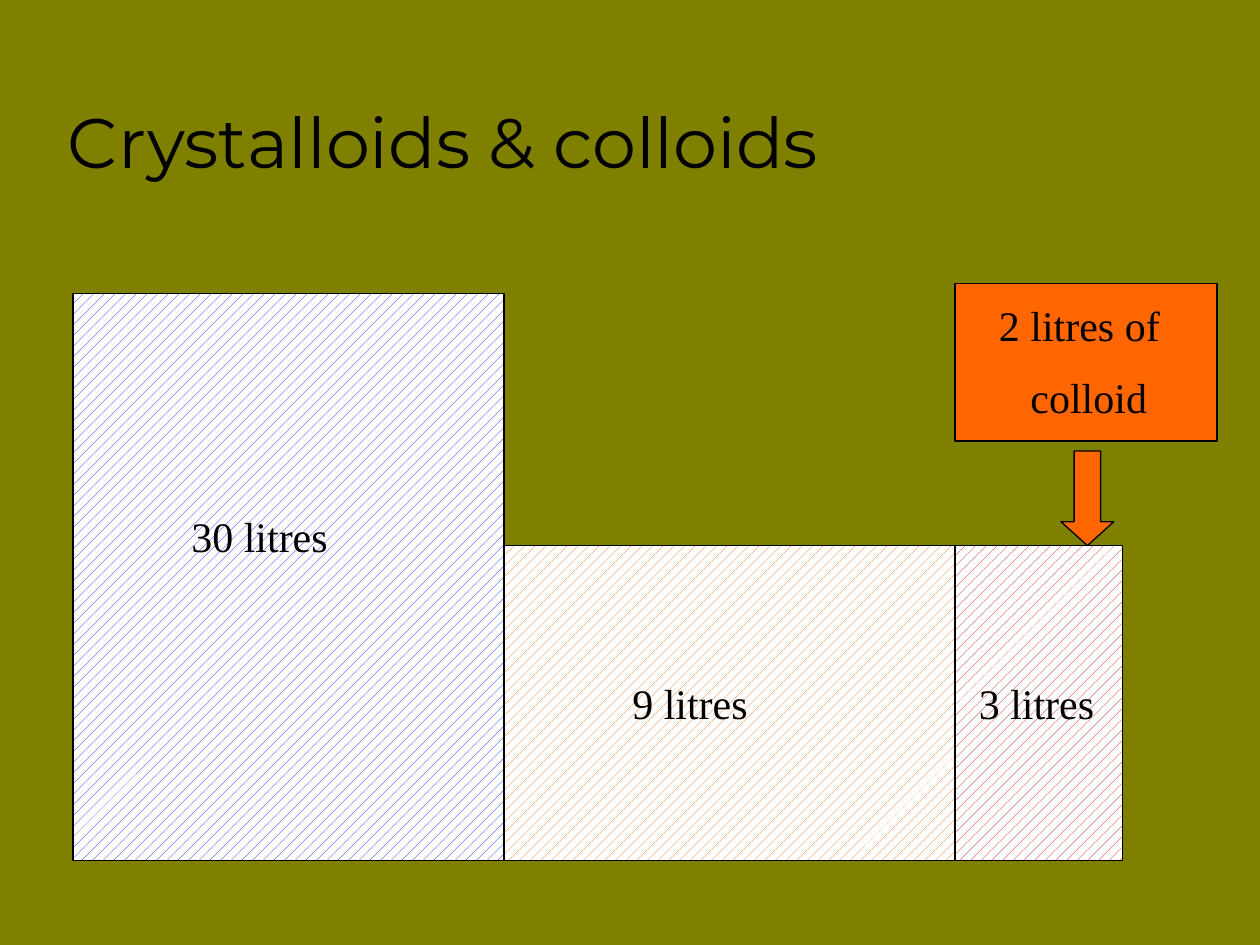
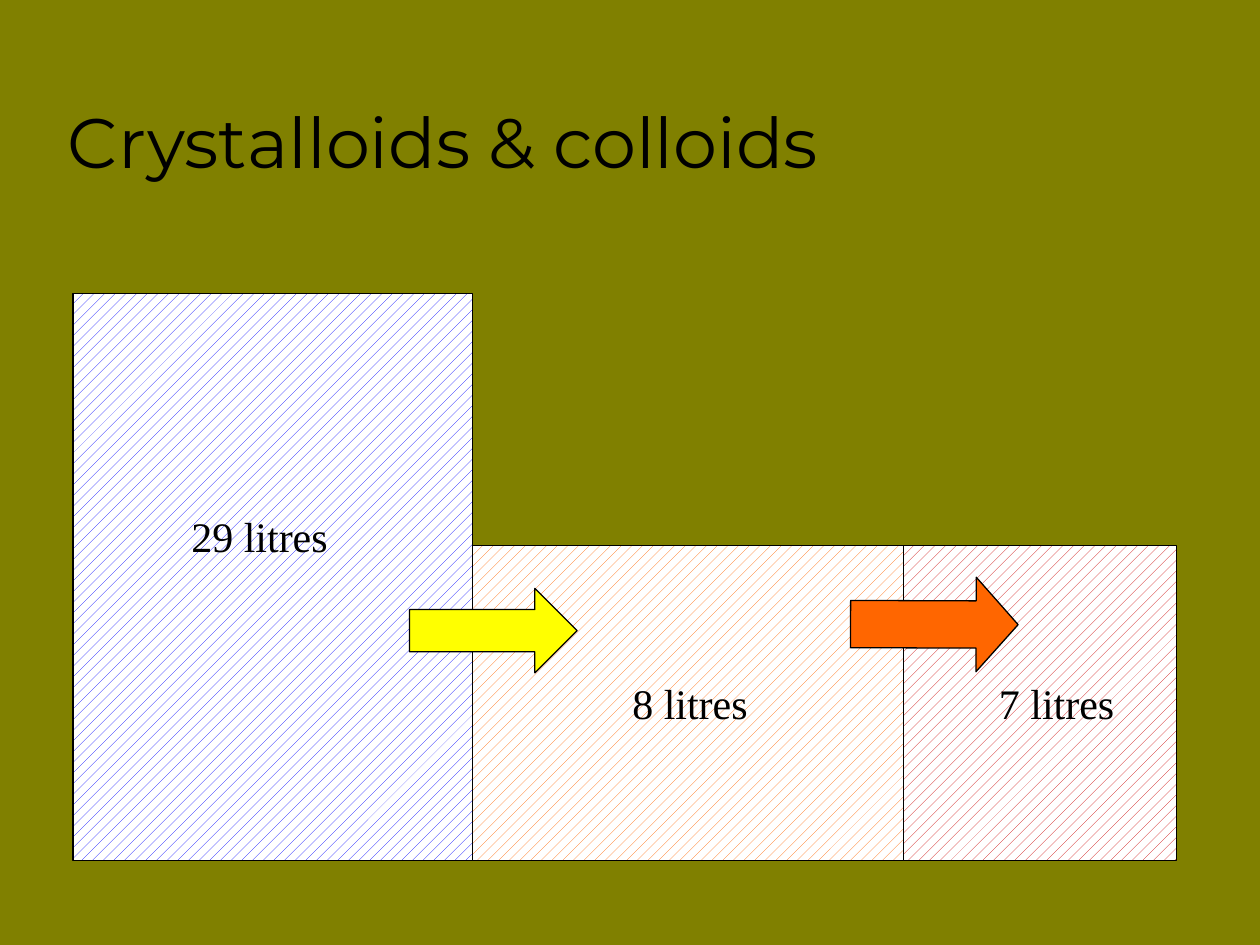
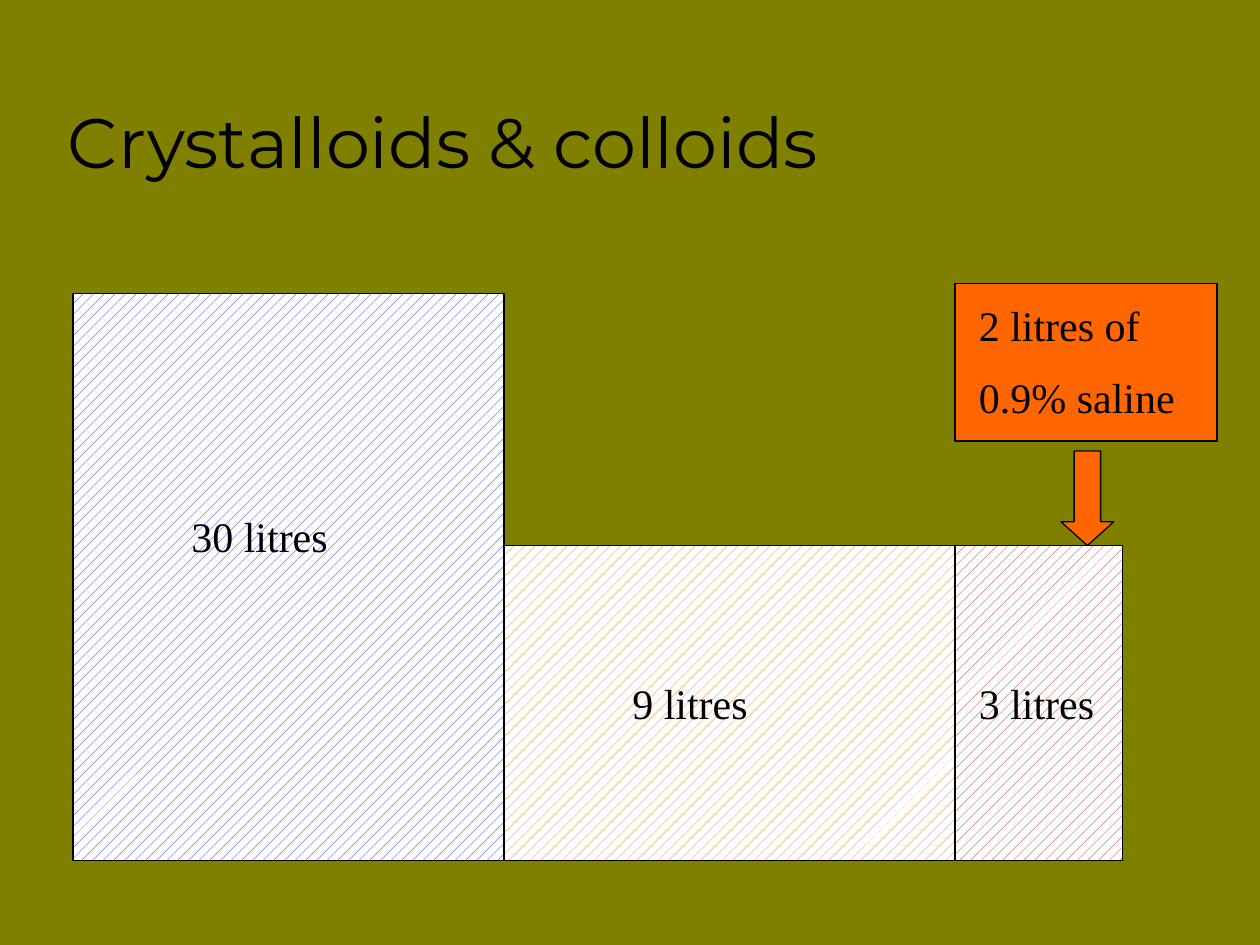
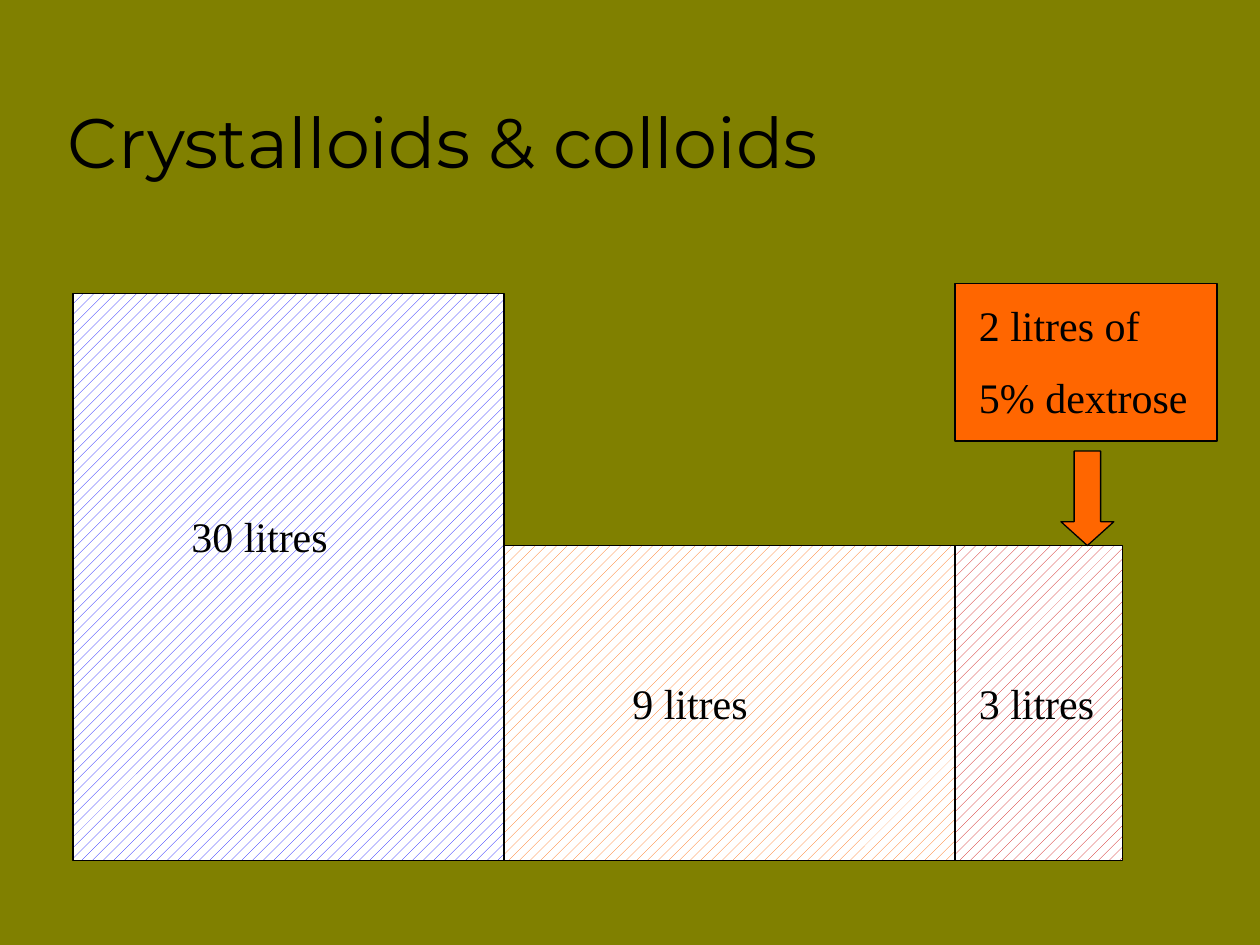
from dataclasses import dataclass
from typing import Optional

from lxml.etree import SubElement
from pptx import Presentation
from pptx.dml.color import RGBColor
from pptx.enum.dml import MSO_PATTERN
from pptx.enum.shapes import MSO_SHAPE as Preset
from pptx.enum.text import MSO_ANCHOR as Anchor, MSO_AUTO_SIZE as AutoSize
from pptx.oxml.ns import qn
from pptx.util import Inches, Pt

OLIVE = RGBColor(0x80, 0x80, 0x00)
BLACK = RGBColor(0x00, 0x00, 0x00)
WHITE = RGBColor(0xFF, 0xFF, 0xFF)
BLUE = RGBColor(0x00, 0x00, 0xFF)
ORANGE = RGBColor(0xFF, 0x66, 0x00)
RED = RGBColor(0xCC, 0x00, 0x00)
YELLOW = RGBColor(0xFF, 0xFF, 0x00)

TITLE = "Crystalloids & colloids"
TITLE_FONT = "Montserrat"
BODY_FONT = "Times New Roman"
FIRST_LEFT = 0.58
FLOOR = 6.83


@dataclass(frozen=True)
class Compartment:
    volume: str
    width: float
    height: float
    color: RGBColor
    label_left: float
    label_top: float
    label_width: float


@dataclass(frozen=True)
class Dose:
    fluid: str
    text_left: float = 7.67
    fluid_indent: float = 0


@dataclass(frozen=True)
class Arrow:
    preset: Preset
    left: float
    top: float
    width: float
    height: float
    color: RGBColor
    head: float = 0.5
    rotation: float = 0


@dataclass(frozen=True)
class Page:
    compartments: list[Compartment]
    arrows: list[Arrow]
    dose: Optional[Dose] = None


def three_compartments(volumes: tuple[int, int, int], widths: tuple[float, float, float],
                       last_label_left: float) -> list[Compartment]:
    labels = [f"{volume} litres" for volume in volumes]
    return [
        Compartment(labels[0], widths[0], 4.5, BLUE, 1.42, 4, 1.67),
        Compartment(labels[1], widths[1], 2.5, ORANGE, 4.92, 5.33, 1.83),
        Compartment(labels[2], widths[2], 2.5, RED, last_label_left, 5.33, 1.17),
    ]


BEFORE = three_compartments((30, 9, 3), (3.42, 3.58, 1.33), 7.67)
AFTER = three_compartments((29, 8, 7), (3.17, 3.42, 2.17), 7.83)
INFUSION = Arrow(Preset.DOWN_ARROW, 8.42, 3.58, 0.42, 0.75, ORANGE, head=0.45)
SHIFTS = [
    Arrow(Preset.LEFT_ARROW, 3.25, 4.67, 1.33, 0.67, YELLOW, rotation=180),
    Arrow(Preset.LEFT_ARROW, 6.75, 4.58, 1.33, 0.75, ORANGE, head=0.445, rotation=180.2),
]
PAGES = [
    Page(BEFORE, [INFUSION], Dose("colloid", text_left=7.83, fluid_indent=0.25)),
    Page(AFTER, SHIFTS),
    Page(BEFORE, [INFUSION], Dose("0.9% saline")),
    Page(BEFORE, [INFUSION], Dose("5% dextrose")),
]


def add_text(slide, lines: list[str], left: float, top: float, width: float, height: float, *,
             font: str = BODY_FONT, size: int = 24, anchor: Anchor = Anchor.TOP,
             space_before: int = 50, last_indent: float = 0, grow: bool = True) -> None:
    """Add one paragraph per line; space_before is a percentage of the line."""
    box = slide.shapes.add_textbox(Inches(left), Inches(top), Inches(width), Inches(height))
    frame = box.text_frame
    frame.word_wrap = True
    frame.auto_size = AutoSize.SHAPE_TO_FIT_TEXT if grow else AutoSize.NONE
    frame.vertical_anchor = anchor
    for index, line in enumerate(lines):
        para = frame.add_paragraph() if index else frame.paragraphs[0]
        span = para.add_run()
        span.text = line
        span.font.name = font
        span.font.size = Pt(size)
        span.font.color.rgb = BLACK
        properties = para._p.get_or_add_pPr()
        if space_before:
            spacing = SubElement(properties, qn("a:spcBef"))
            SubElement(spacing, qn("a:spcPct")).set("val", str(space_before * 1000))
    if last_indent:
        properties.set("marL", str(Inches(last_indent)))


def add_outlined(slide, preset: Preset, left: float, top: float, width: float, height: float,
                 color: RGBColor, patterned: bool = False):
    shape = slide.shapes.add_shape(preset, Inches(left), Inches(top), Inches(width), Inches(height))
    shape.shadow.inherit = False
    shape.line.color.rgb = BLACK
    shape.line.width = Pt(0.75)
    if patterned:
        shape.fill.patterned()
        shape.fill.pattern = MSO_PATTERN.PERCENT_20
        shape.fill.fore_color.rgb = color
        shape.fill.back_color.rgb = WHITE
    else:
        shape.fill.solid()
        shape.fill.fore_color.rgb = color
    return shape


def add_compartments(slide, compartments: list[Compartment]) -> None:
    """Stand the compartments side by side on a common floor."""
    left = FIRST_LEFT
    for item in compartments:
        add_outlined(slide, Preset.RECTANGLE, left, FLOOR - item.height, item.width, item.height,
                     item.color, patterned=True)
        add_text(slide, [item.volume], item.label_left, item.label_top, item.label_width, 0.5)
        left += item.width


def add_arrow(slide, arrow: Arrow) -> None:
    shape = add_outlined(slide, arrow.preset, arrow.left, arrow.top, arrow.width, arrow.height,
                         arrow.color)
    shape.adjustments[0] = 0.5
    shape.adjustments[1] = arrow.head
    shape.rotation = arrow.rotation


def add_page(deck, page: Page) -> None:
    slide = deck.slides.add_slide(deck.slide_layouts[6])
    slide.background.fill.solid()
    slide.background.fill.fore_color.rgb = OLIVE
    if page.dose:
        add_outlined(slide, Preset.RECTANGLE, 7.58, 2.25, 2.08, 1.25, ORANGE)
    add_text(slide, [TITLE], 0.44, 0.25, 8.5, 1.25, font=TITLE_FONT, size=40,
             anchor=Anchor.BOTTOM, space_before=0, grow=False)
    add_compartments(slide, page.compartments)
    if page.dose:
        add_text(slide, ["2 litres of", page.dose.fluid], page.dose.text_left, 2.33, 2.17, 1.1,
                 last_indent=page.dose.fluid_indent)
    for arrow in page.arrows:
        add_arrow(slide, arrow)


def main() -> None:
    deck = Presentation()
    deck.slide_width = Inches(10)
    deck.slide_height = Inches(7.5)
    for page in PAGES:
        add_page(deck, page)
    deck.save("out.pptx")


if __name__ == "__main__":
    main()
